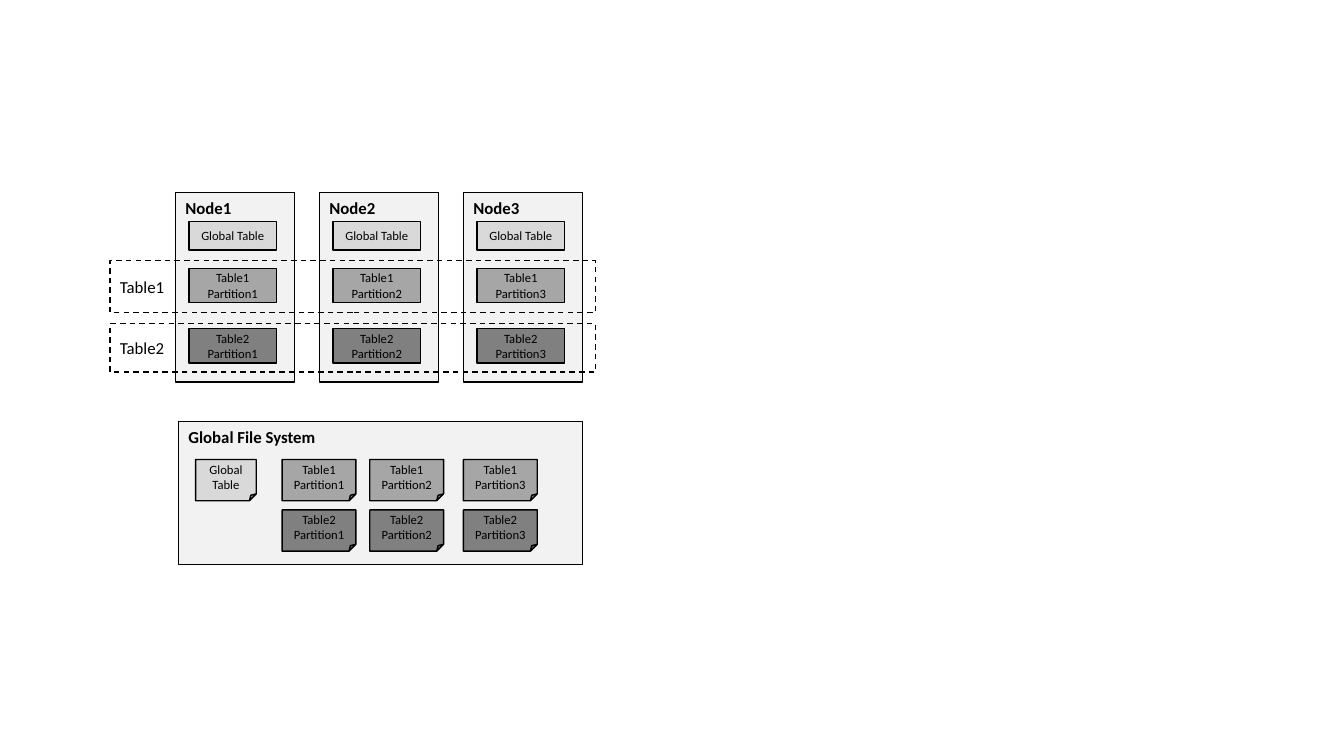
from dataclasses import dataclass
from pptx import Presentation
from pptx.dml.color import RGBColor
from pptx.enum.dml import MSO_LINE
from pptx.enum.shapes import MSO_SHAPE
from pptx.enum.text import MSO_ANCHOR, PP_ALIGN
from pptx.util import Cm, Pt


@dataclass(frozen=True)
class Theme:
    font: str = "Calibri"
    ink: str = "000000"
    panel: str = "F2F2F2"
    shared: str = "D9D9D9"
    tables: tuple = ("A6A6A6", "808080")
    head: int = 12
    small: int = 9
    stroke: int = 1


theme = Theme()
COUNT = 3  # nodes, and partitions of each table


def draw(slide, box, text, fill=None, kind=MSO_SHAPE.RECTANGLE, size=theme.head,
         bold=False, align=PP_ALIGN.LEFT, anchor=MSO_ANCHOR.MIDDLE):
    """Outlined shape with text; box is left, top, width, height in cm."""
    shape = slide.shapes.add_shape(kind, *map(Cm, box))
    shape.shadow.inherit = False
    if fill:
        shape.fill.solid()
        shape.fill.fore_color.rgb = RGBColor.from_string(fill)
    else:
        shape.fill.background()
    ink = RGBColor.from_string(theme.ink)
    shape.line.color.rgb = ink
    shape.line.width = Pt(theme.stroke)
    frame = shape.text_frame
    frame.word_wrap = True
    frame.vertical_anchor = anchor
    frame.text = text
    for para in frame.paragraphs:
        para.alignment = align
        for run in para.runs:
            run.font.name, run.font.size = theme.font, Pt(size)
            run.font.bold, run.font.color.rgb = bold, ink
    return shape


def panel(slide, box, title):
    draw(slide, box, title, theme.panel, bold=True, anchor=MSO_ANCHOR.TOP)


def tile(slide, box, text, fill, kind=MSO_SHAPE.RECTANGLE):
    draw(slide, box, text, fill, kind, theme.small, align=PP_ALIGN.CENTER)


def node(slide, box, num):
    """One node: its copy of the global table and its partitions."""
    left, top = box[:2]
    panel(slide, box, f"Node{num}")
    x, wide = left + 0.34, 2.21
    tile(slide, (x, top + 0.74, wide, 0.71), "Global Table", theme.shared)
    for row, fill in enumerate(theme.tables):
        y = top + 1.91 + 1.52 * row
        tile(slide, (x, y, wide, 0.87), f"Table{row + 1}\nPartition{num}", fill)


def band(slide, box, num):
    """Dashed frame that gathers the partitions of one table."""
    frame = draw(slide, box, f"Table{num}")
    frame.line.dash_style = MSO_LINE.DASH


def store(slide, box):
    """Global file system with one file for each table part."""
    left, top = box[:2]
    panel(slide, box, "Global File System")
    note, high = MSO_SHAPE.FOLDED_CORNER, 1.04
    y = top + 0.96
    tile(slide, (left + 0.43, y, 1.53, high), "Global Table", theme.shared, note)
    for row, fill in enumerate(theme.tables):
        for col, x in enumerate((2.61, 4.82, 7.18)):
            spot = (left + x, y + 1.27 * row, 1.86, high)
            tile(slide, spot, f"Table{row + 1} Partition{col + 1}", fill, note)


deck = Presentation()
deck.slide_width, deck.slide_height = Cm(33.87), Cm(19.05)
slide = deck.slides.add_slide(deck.slide_layouts[6])

# File system below the nodes
store(slide, (4.5, 10.62, 10.18, 3.61))

# Row of nodes
for col in range(COUNT):
    node(slide, (4.42 + 3.63 * col, 4.85, 3, 4.78), col + 1)

# Table frames across the nodes
for num, (top, high) in enumerate(((6.56, 1.32), (8.16, 1.22)), 1):
    band(slide, (2.77, top, 12.24, high), num)

deck.save("out.pptx")
